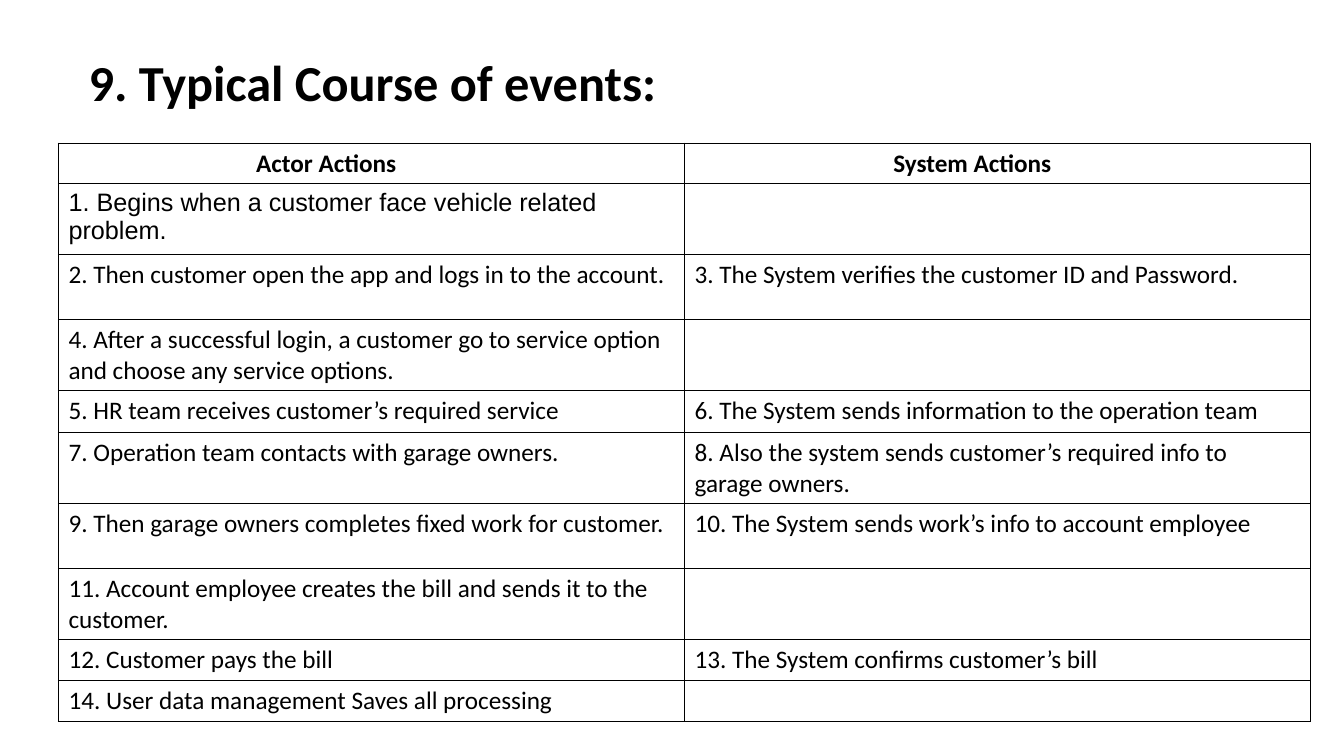
from pptx import Presentation
from pptx.dml.color import RGBColor
from pptx.oxml import parse_xml
from pptx.oxml.ns import nsdecls
from pptx.util import Inches, Pt

TITLE = "9. Typical Course of events:"
HEADERS = [("Actor Actions", 1.96), ("System Actions", 2.07)]
EVENTS = [
    ("1. Begins when a customer face vehicle related problem.", "", 0.65),
    ("2. Then customer open the app and logs in to the account.",
     "3. The System verifies the customer ID and Password.", 0.65),
    ("4. After a successful login, a customer go to service option and choose any service options.",
     "", 0.65),
    ("5. HR team receives customer’s required service",
     "6. The System sends information to the operation team", 0.42),
    ("7. Operation team contacts with garage owners.",
     "8. Also the system sends customer’s required info to garage owners.", 0.65),
    ("9. Then garage owners completes fixed work for customer.",
     "10. The System sends work’s info to account employee", 0.65),
    ("11. Account employee creates the bill and sends it to the customer.", "", 0.65),
    ("12. Customer pays the bill", "13. The System confirms customer’s bill", 0.41),
    ("14. User data management Saves all processing", "", 0.41),
]
HEADER_HEIGHT = 0.37
COLUMN_WIDTH = 6.21
BLACK, WHITE = "000000", "FFFFFF"


def color(value):
    return RGBColor.from_string(value)


def style(para, size, bold=False, name="Calibri"):
    para.font.size = Pt(size)
    para.font.bold = bold
    para.font.name = name
    para.font.color.rgb = color(BLACK)


def add_borders(cell):
    properties = cell._tc.get_or_add_tcPr()
    for index, side in enumerate(("lnL", "lnR", "lnT", "lnB")):
        properties.insert(index, parse_xml(
            f'<a:{side} {nsdecls("a")} w="{Pt(1)}"><a:solidFill>'
            f'<a:srgbClr val="{BLACK}"/></a:solidFill></a:{side}>'))


def fill_cell(cell, text, bold=False, name="Calibri"):
    cell.text = text
    style(cell.text_frame.paragraphs[0], 18, bold, name)
    cell.fill.solid()
    cell.fill.fore_color.rgb = color(WHITE)
    add_borders(cell)


def main():
    deck = Presentation()
    deck.slide_width, deck.slide_height = Inches(13.33), Inches(7.5)
    page = deck.slides.add_slide(deck.slide_layouts[6])

    box = page.shapes.add_textbox(Inches(0.78), Inches(0.46), Inches(6.01), Inches(0.71))
    box.text_frame.word_wrap = False
    box.text_frame.text = TITLE
    style(box.text_frame.paragraphs[0], 36, bold=True)

    heights = [HEADER_HEIGHT] + [height for _, _, height in EVENTS]
    table = page.shapes.add_table(
        len(heights), len(HEADERS), Inches(0.58), Inches(1.42),
        Inches(COLUMN_WIDTH * len(HEADERS)), Inches(sum(heights))).table
    table.first_row = table.horz_banding = False
    for column in table.columns:
        column.width = Inches(COLUMN_WIDTH)
    for row, height in zip(table.rows, heights):
        row.height = Inches(height)

    for index, (header, indent) in enumerate(HEADERS):
        cell = table.cell(0, index)
        fill_cell(cell, header, bold=True)
        cell.margin_left = Inches(indent)
    for number, (actor, system, _) in enumerate(EVENTS, 1):
        fill_cell(table.cell(number, 0), actor, name="Arial" if number == 1 else "Calibri")
        fill_cell(table.cell(number, 1), system)

    deck.save("out.pptx")


if __name__ == "__main__":
    main()
